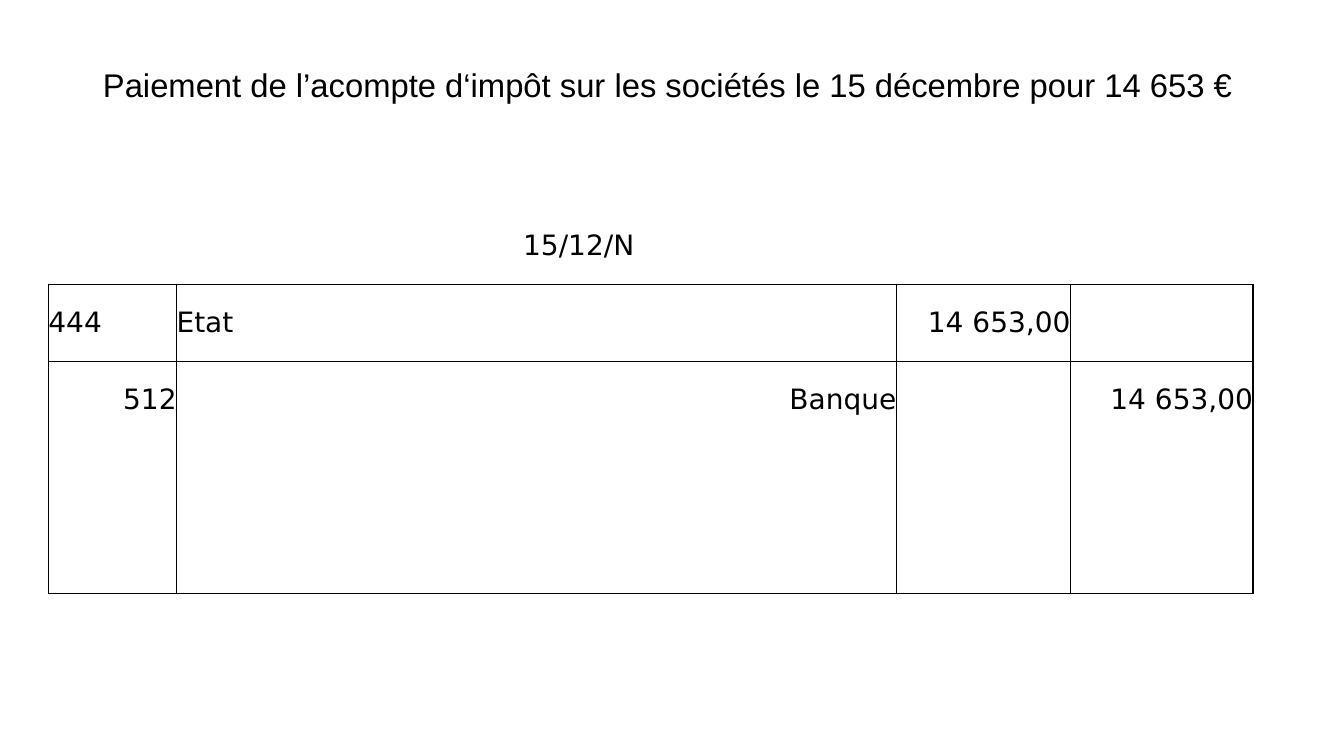
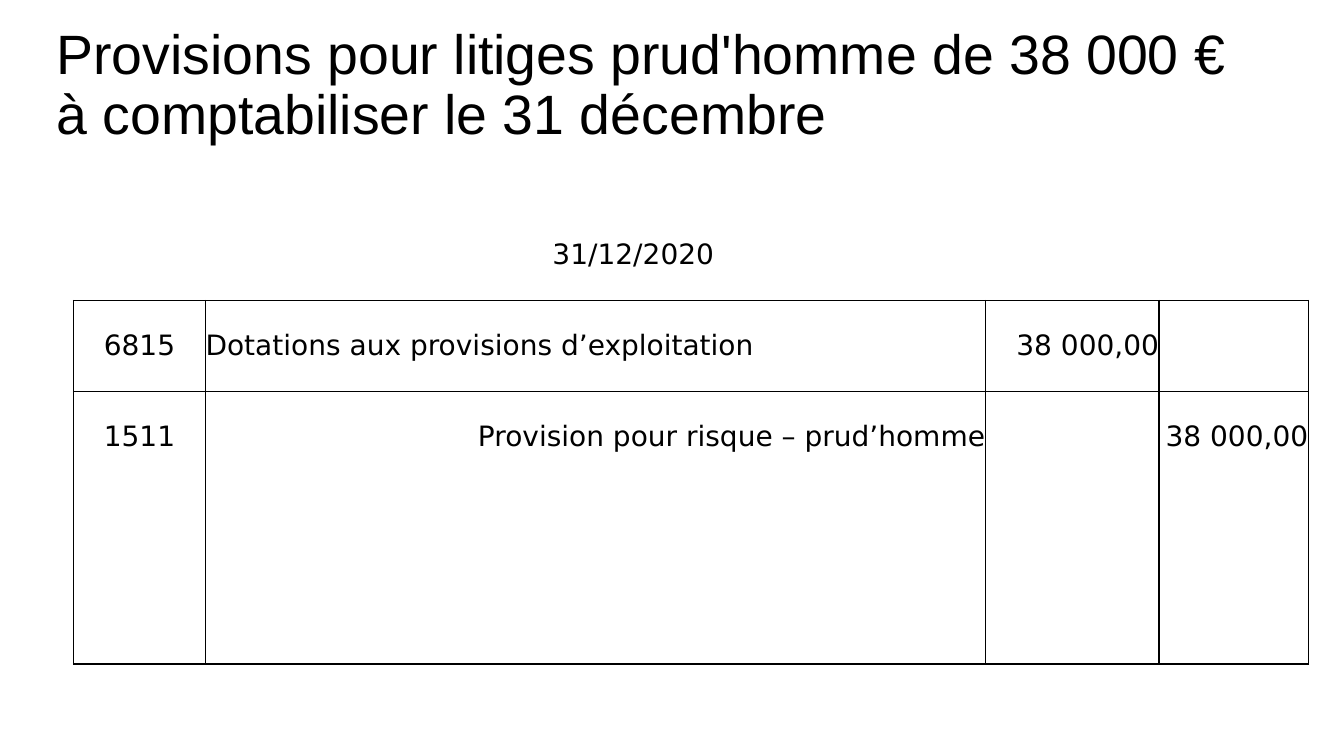
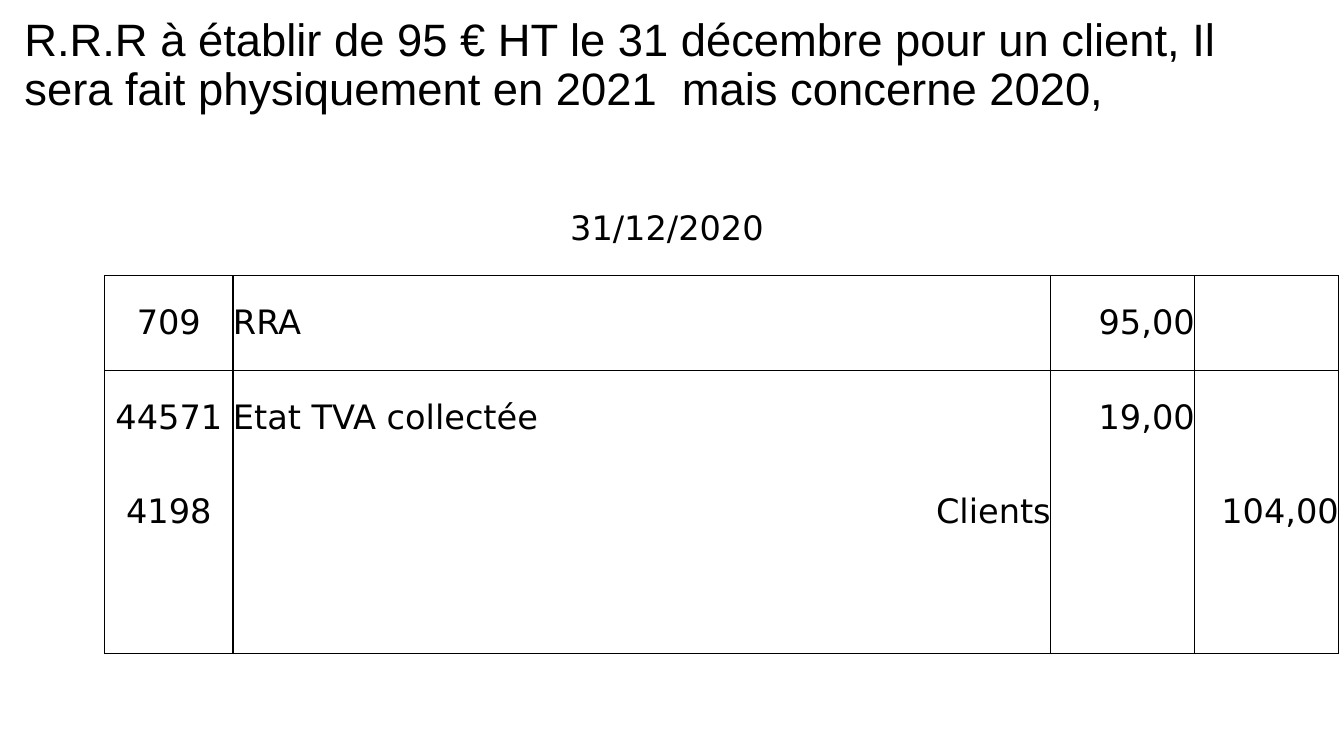
from pptx import Presentation
from pptx.dml.color import RGBColor
from pptx.enum.text import MSO_ANCHOR, MSO_AUTO_SIZE, PP_ALIGN
from pptx.oxml import parse_xml
from pptx.oxml.ns import nsdecls
from pptx.util import Cm, Pt

BLACK = RGBColor(0, 0, 0)
LEFT, MID, RIGHT = PP_ALIGN.LEFT, PP_ALIGN.CENTER, PP_ALIGN.RIGHT
PLAIN = "{2D5ABB26-0587-4C30-8999-92F81FD0307C}"  # table style without grid
ROWS = 5

# Entry lines: account, its alignment, label, debit, credit
SLIDES = [
    dict(
        title="Paiement de l’acompte d‘impôt sur les sociétés le 15 décembre pour 14 653 €",
        box=(2.34, 1.02, 29.21, 3.68), below=1.6, font=23.4, pitch=1.0,
        place=(1.22, 5.21), cols=(3.23, 8.23, 3.81, 6.1, 4.39, 4.6),
        height=1.95, size=20, date="15/12/N",
        lines=[("444", LEFT, "Etat", "14 653,00", ""),
               ("512", RIGHT, "Banque", "", "14 653,00")],
    ),
    dict(
        title="Provisions pour litiges prud'homme de 38 000 € à comptabiliser le 31 décembre",
        box=(1.17, 1.07, 30.99, 3.68), below=1.57, font=39.6, pitch=0.9,
        place=(1.85, 5.28), cols=(3.33, 8.53, 4.5, 6.63, 4.37, 3.76),
        height=2.29, size=20, date="31/12/2020",
        lines=[("6815", MID, "Dotations aux provisions d’exploitation", "38 000,00", ""),
               ("1511", MID, "Provision pour risque – prud’homme", "", "38 000,00")],
    ),
    dict(
        title="R.R.R à établir de 95 € HT le 31 décembre pour un client, Il sera fait "
              "physiquement en 2021  mais concerne 2020,",
        box=(0.36, 0.69, 32.49, 5.05), below=3.23, font=32.4, pitch=0.9,
        place=(2.64, 4.57), cols=(3.23, 8.26, 5.36, 6.99, 3.63, 3.63),
        height=2.38, size=24, date="31/12/2020",
        lines=[("709", MID, "RRA", "95,00", ""),
               ("44571", MID, "Etat TVA collectée", "19,00", ""),
               ("4198", MID, "Clients", "", "104,00")],
    ),
]


def write(frame, text, align, font, size):
    para = frame.paragraphs[0]
    para.alignment = align
    run = para.add_run()
    run.text = text
    run.font.name = font
    run.font.size = Pt(size)
    run.font.color.rgb = BLACK
    return para


def rule(cell, sides):
    """Draw thin black borders on the given sides, in the order L, R, T, B."""
    props = cell._tc.get_or_add_tcPr()
    for spot, side in enumerate(sides):
        props.insert(spot, parse_xml(
            f'<a:ln{side} {nsdecls("a")} w="12700"><a:solidFill>'
            f'<a:srgbClr val="{BLACK}"/></a:solidFill></a:ln{side}>'))


deck = Presentation()
deck.slide_width, deck.slide_height = Cm(33.87), Cm(19.05)

for page in SLIDES:
    slide = deck.slides.add_slide(deck.slide_layouts[5])

    title = slide.shapes.title
    title.left, title.top, title.width, title.height = map(Cm, page["box"])
    frame = title.text_frame
    frame.auto_size = MSO_AUTO_SIZE.NONE
    frame.word_wrap = True
    frame.vertical_anchor = MSO_ANCHOR.MIDDLE
    frame.margin_bottom = Cm(page["below"])
    para = write(frame, page["title"], LEFT, "Arial", page["font"])
    para.line_spacing = page["pitch"]

    cols, high = page["cols"], page["height"]
    left, top = page["place"]
    grid = slide.shapes.add_table(ROWS, len(cols), Cm(left), Cm(top),
                                  Cm(sum(cols)), Cm(high * ROWS))
    grid._element.find(".//{*}tableStyleId").text = PLAIN
    table = grid.table
    table.first_row = table.horz_banding = False
    for col, wide in zip(table.columns, cols):
        col.width = Cm(wide)
    for row in table.rows:
        row.height = Cm(high)

    for r in range(ROWS):
        for c in range(len(cols)):
            cell = table.cell(r, c)
            cell.fill.background()
            cell.vertical_anchor = MSO_ANCHOR.MIDDLE
            cell.margin_left = cell.margin_right = 0
            cell.margin_top = cell.margin_bottom = 0
            sides = []
            if r and c not in (2, 3):
                sides.append("L")
            if r and c not in (1, 2):
                sides.append("R")
            if r == 1:
                sides.append("T")
            if r in (0, ROWS - 1):
                sides.append("B")
            rule(cell, sides)
        if r:
            table.cell(r, 1).merge(table.cell(r, 3))

    write(table.cell(0, 2).text_frame, page["date"], MID, "DejaVu Sans", page["size"])
    for r, (code, side, label, debit, credit) in enumerate(page["lines"], 1):
        parts = [(0, code, side), (1, label, RIGHT if credit else LEFT),
                 (4, debit, RIGHT), (5, credit, RIGHT)]
        for c, text, align in parts:
            if text:
                write(table.cell(r, c).text_frame, text, align,
                      "DejaVu Sans", page["size"])

deck.save("out.pptx")
